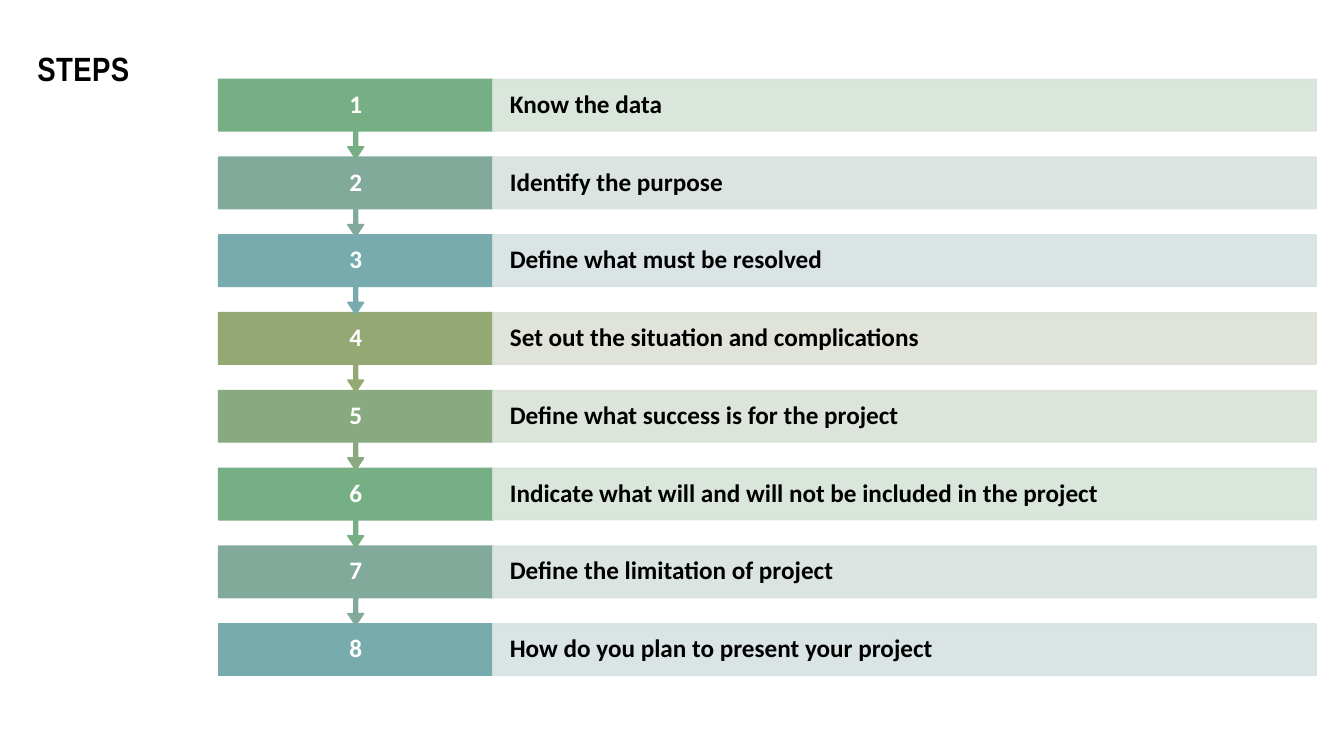
from lxml import etree
from pptx import Presentation
from pptx.dml.color import RGBColor
from pptx.enum.shapes import MSO_SHAPE
from pptx.enum.text import MSO_ANCHOR, PP_ALIGN
from pptx.oxml.ns import qn
from pptx.util import Cm, Pt

RECTANGLE = MSO_SHAPE.RECTANGLE
CALLOUT = MSO_SHAPE.DOWN_ARROW_CALLOUT
TOP, MIDDLE = MSO_ANCHOR.TOP, MSO_ANCHOR.MIDDLE
LEFT, CENTER = PP_ALIGN.LEFT, PP_ALIGN.CENTER

BLACK = RGBColor(0x00, 0x00, 0x00)
WHITE = RGBColor(0xFF, 0xFF, 0xFF)
GREEN = RGBColor(0x77, 0xAF, 0x84)
SAGE = RGBColor(0x81, 0xAA, 0x9B)
TEAL = RGBColor(0x77, 0xAB, 0xAE)
OLIVE = RGBColor(0x94, 0xA8, 0x73)
MOSS = RGBColor(0x89, 0xAA, 0x81)
PALE = {
    GREEN: RGBColor(0xD6, 0xE3, 0xD9),
    SAGE: RGBColor(0xD8, 0xE2, 0xDE),
    TEAL: RGBColor(0xD6, 0xE2, 0xE3),
    OLIVE: RGBColor(0xDC, 0xE1, 0xD5),
    MOSS: RGBColor(0xDA, 0xE2, 0xD8),
}

STEPS = [
    ("Know the data", GREEN),
    ("Identify the purpose", SAGE),
    ("Define what must be resolved", TEAL),
    ("Set out the situation and complications", OLIVE),
    ("Define what success is for the project", MOSS),
    ("Indicate what will and will not be included in the project", GREEN),
    ("Define the limitation of project", SAGE),
    ("How do you plan to present your project", TEAL),
]
FIRST_TOP, PITCH = 2.0, 1.96
ROW_HEIGHT, CALLOUT_HEIGHT = 1.3, 2.0
NUMBER_LEFT, NUMBER_WIDTH = 5.51, 6.91
LABEL_LEFT, LABEL_WIDTH = NUMBER_LEFT + NUMBER_WIDTH, 20.75
CALLOUT_ADJUSTMENTS = (0.05, 0.1, 0.15, 0.65)


def write(box, text, font, size, color, align, anchor, inset):
    """Put one bold line of text into the box and return its run."""
    frame = box.text_frame
    layout = {
        "word_wrap": True, "vertical_anchor": anchor,
        "margin_left": Cm(inset), "margin_right": Cm(inset),
        "margin_top": Cm(0.13), "margin_bottom": Cm(0.13),
    }
    for name, value in layout.items():
        setattr(frame, name, value)
    para = frame.paragraphs[0]
    para.alignment = align
    para.line_spacing = 0.9
    span = para.add_run()
    span.text = text
    for name, value in {"name": font, "size": Pt(size), "bold": True}.items():
        setattr(span.font, name, value)
    span.font.color.rgb = color
    return span


def add_bar(kind, left, top, width, height, color):
    bar = page.shapes.add_shape(kind, Cm(left), Cm(top), Cm(width), Cm(height))
    bar.shadow.inherit = False
    bar.fill.solid()
    bar.fill.fore_color.rgb = color
    bar.line.color.rgb = color
    bar.line.width = Pt(1)
    return bar


deck = Presentation()
deck.slide_width, deck.slide_height = Cm(33.87), Cm(19.05)
page = deck.slides.add_slide(deck.slide_layouts[6])

title = page.shapes.add_textbox(Cm(0.69), Cm(1.19), Cm(6.05), Cm(12.47))
heading = write(title, "STEPS", "Arial Narrow", 24, BLACK, LEFT, TOP, 0.25)
heading.font._element.set("spc", "30")

# Last step first, so that each arrow tip lies over the bar below it
for index, (label, color) in reversed(list(enumerate(STEPS))):
    top = FIRST_TOP + index * PITCH
    is_last = index == len(STEPS) - 1
    kind, height = (RECTANGLE, ROW_HEIGHT) if is_last else (CALLOUT, CALLOUT_HEIGHT)
    number_bar = add_bar(kind, NUMBER_LEFT, top, NUMBER_WIDTH, height, color)
    if not is_last:
        for position, value in enumerate(CALLOUT_ADJUSTMENTS):
            number_bar.adjustments[position] = value
    write(number_bar, str(index + 1), "Calibri", 18, WHITE, CENTER, MIDDLE, 0.48)

    label_bar = add_bar(RECTANGLE, LABEL_LEFT, top, LABEL_WIDTH, ROW_HEIGHT, PALE[color])
    for tint in label_bar._element.spPr.iter(qn("a:srgbClr")):
        etree.SubElement(tint, qn("a:alpha"), val="90000")
    write(label_bar, label, "Calibri", 18, BLACK, LEFT, MIDDLE, 0.43)

deck.save("out.pptx")
